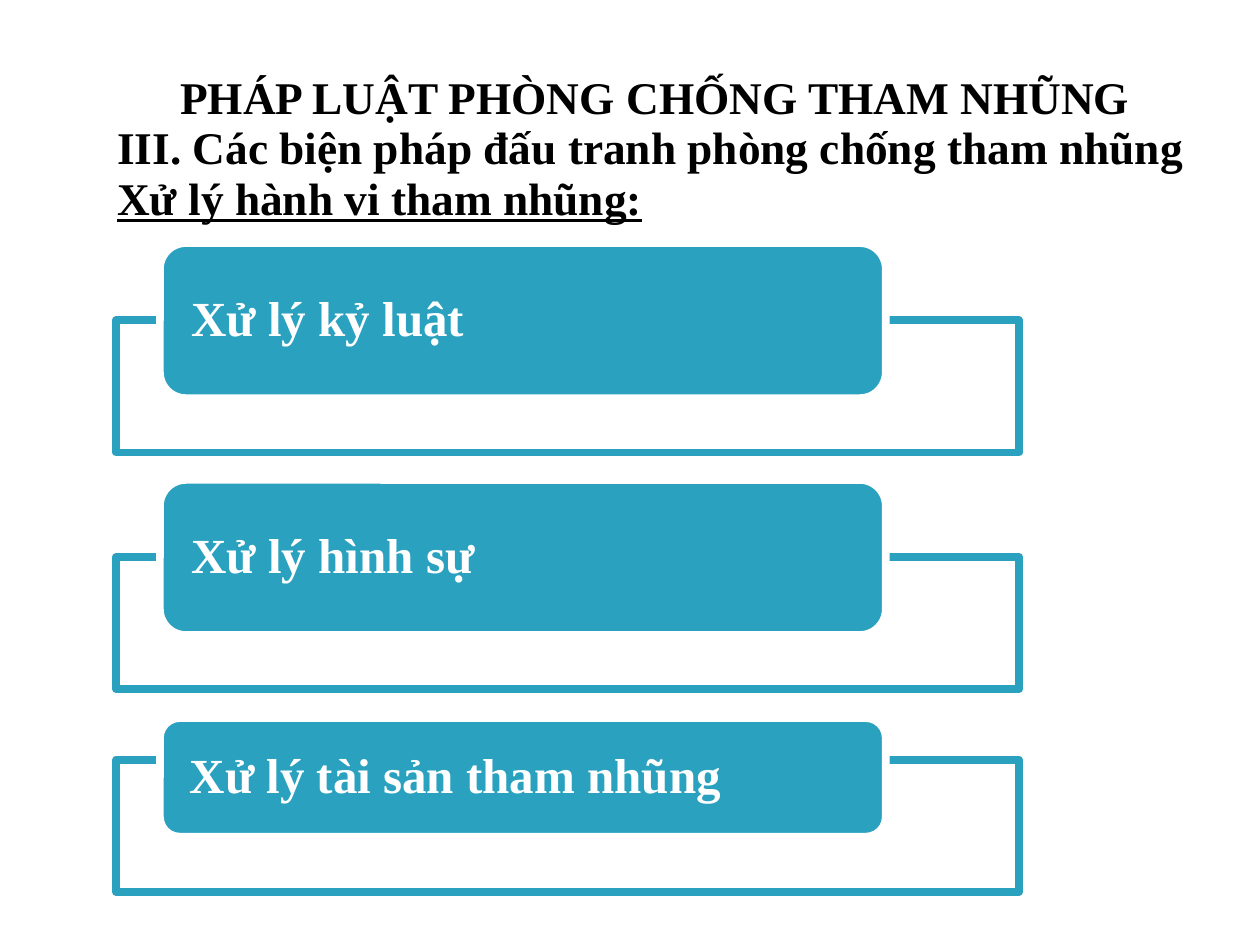
from dataclasses import dataclass

from lxml import etree
from pptx import Presentation
from pptx import util as u
from pptx.dml.color import RGBColor
from pptx.enum import shapes, text
from pptx.oxml.ns import qn


@dataclass(frozen=True)
class Theme:
    font: str = "Times New Roman"
    ink: RGBColor = RGBColor(0, 0, 0)
    paper: RGBColor = RGBColor(255, 255, 255)
    accent: RGBColor = RGBColor(0x2A, 0xA2, 0xBF)
    title_size: float = 25.9
    label_size: float = 28
    outline: float = 4.33


THEME = Theme()

HEADINGS = [
    ("PHÁP LUẬT PHÒNG CHỐNG THAM NHŨNG", text.PP_ALIGN.LEFT, 0.5, 0, False),
    ("III. Các biện pháp đấu tranh phòng chống tham nhũng",
     text.PP_ALIGN.JUSTIFY, 0.62, -0.62, False),
    ("Xử lý hành vi tham nhũng:", text.PP_ALIGN.JUSTIFY, 0.62, -0.62, True),
]

MEASURES = [
    ("Xử lý kỷ luật", 1.93, 1.23, 2.54),
    ("Xử lý hình sự", 3.81, 1.23, 4.42),
    ("Xử lý tài sản tham nhũng", 5.7, 0.94, 6.03),
]


def add_span(para, words, size, color, underline=False):
    span = para.add_run()
    span.text = words
    span.font.name = THEME.font
    span.font.size = u.Pt(size)
    span.font.bold = True
    span.font.color.rgb = color
    if underline:
        span.font.underline = True


def set_insets(frame, side, end):
    frame.margin_left = frame.margin_right = u.Inches(side)
    frame.margin_top = frame.margin_bottom = u.Inches(end)


def fill_title(page):
    title = page.shapes.title
    title.left, title.top = u.Inches(0.83), u.Inches(0.58)
    title.width, title.height = u.Inches(9), u.Inches(1.33)
    frame = title.text_frame
    frame.word_wrap = True
    frame.auto_size = text.MSO_AUTO_SIZE.NONE
    frame.vertical_anchor = text.MSO_ANCHOR.TOP
    set_insets(frame, 0.1, 0.05)
    for index, (words, align, margin, indent, underline) in enumerate(HEADINGS):
        para = frame.add_paragraph() if index else frame.paragraphs[0]
        para.alignment = align
        para.line_spacing = 0.8
        para.space_before = u.Pt(4 if index else 0)
        properties = para._p.get_or_add_pPr()
        properties.set("marL", str(u.Inches(margin)))
        properties.set("indent", str(u.Inches(indent)))
        add_span(para, words, THEME.title_size, THEME.ink, underline)


def add_box(page, kind, left, top, width, height, fill, line):
    box = page.shapes.add_shape(
        kind, u.Inches(left), u.Inches(top), u.Inches(width), u.Inches(height))
    box.shadow.inherit = False
    box.fill.solid()
    box.fill.fore_color.rgb = fill
    box.line.color.rgb = line
    box.line.width = u.Pt(THEME.outline)
    return box


def add_frame(page, top):
    box = add_box(page, shapes.MSO_SHAPE.RECTANGLE, 0.92, top, 7.17, 1.05,
                  THEME.paper, THEME.accent)
    color = box._element.spPr.find(qn("a:solidFill")).find(qn("a:srgbClr"))
    etree.SubElement(color, qn("a:alpha"), val="90000")


def add_label(page, words, top, height):
    box = add_box(page, shapes.MSO_SHAPE.ROUNDED_RECTANGLE, 1.27, top, 5.76,
                  height, THEME.accent, THEME.paper)
    box.adjustments[0] = 0.167
    frame = box.text_frame
    frame.word_wrap = True
    frame.vertical_anchor = text.MSO_ANCHOR.MIDDLE
    set_insets(frame, 0.19, 0)
    para = frame.paragraphs[0]
    para.alignment = text.PP_ALIGN.LEFT
    para.line_spacing = 0.9
    add_span(para, words, THEME.label_size, THEME.paper)


def main():
    deck = Presentation()
    deck.slide_width, deck.slide_height = u.Inches(10), u.Inches(7.5)
    page = deck.slides.add_slide(deck.slide_layouts.get_by_name("Title Only"))
    fill_title(page)
    for words, top, height, frame_top in MEASURES:
        add_frame(page, frame_top)
        add_label(page, words, top, height)
    deck.save("out.pptx")


if __name__ == "__main__":
    main()
